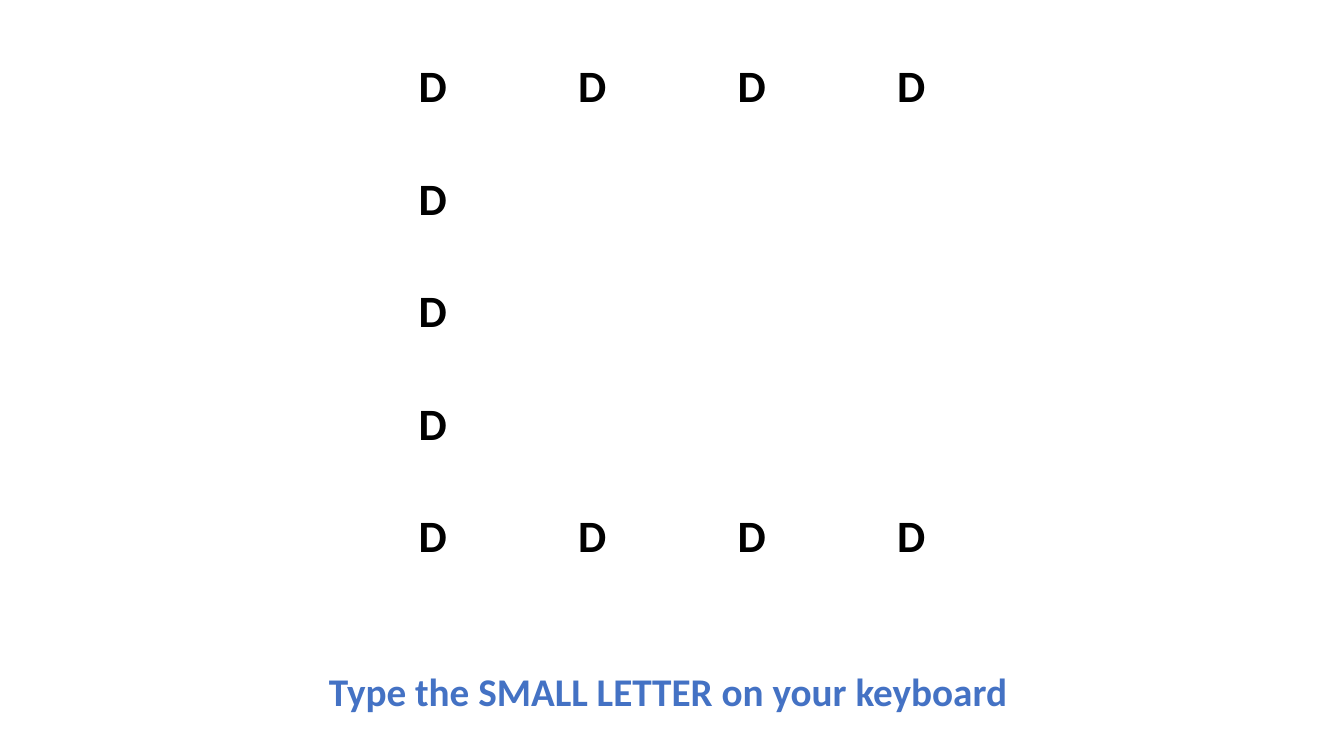
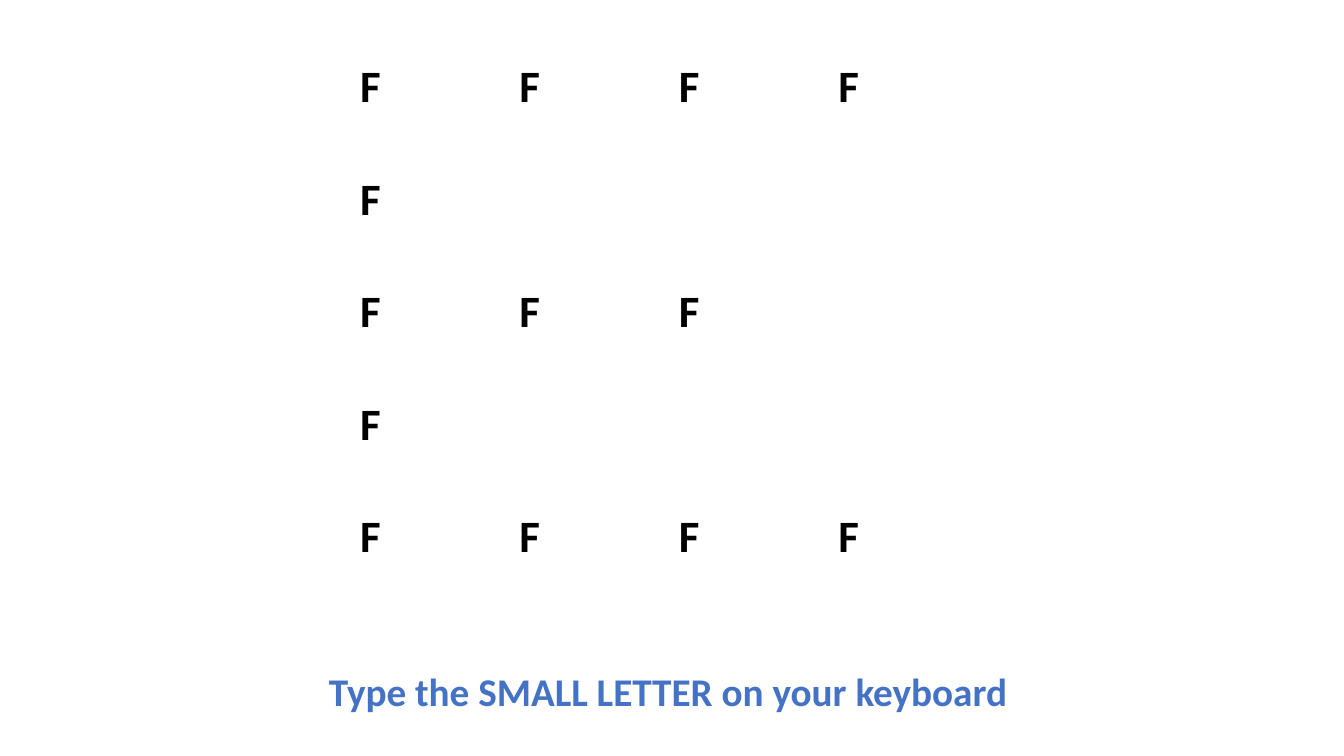
from pptx import Presentation
from pptx.dml.color import RGBColor
from pptx.enum.text import MSO_AUTO_SIZE, PP_ALIGN
from pptx.util import Pt

PIXEL = 9071
BLACK = RGBColor(0x00, 0x00, 0x00)
BLUE = RGBColor(0x44, 0x72, 0xC4)
FONT = "Calibri"
LEFT, CENTER = PP_ALIGN.LEFT, PP_ALIGN.CENTER
GROW = MSO_AUTO_SIZE.SHAPE_TO_FIT_TEXT
BLANK_LAYOUT = 6

LETTER_BOX = (353, 56, 638, 563)
PROMPT_BOX = (319, 662, 707, 57)
PROMPT = "Type the SMALL LETTER on your keyboard"
COLUMN_COUNT = 4
CELL_INSET = 7

LETTER_SLIDES = [
    ("D", (4, 1, 1, 1, 4), CENTER),
    ("F", (4, 1, 3, 1, 4), LEFT),
]


def scaled(box):
    """Turn a box in pixels into EMU."""
    return [length * PIXEL for length in box]


def write(frame, text, size, color, align=LEFT, spacing=None):
    """Write one bold paragraph into a text frame."""
    para = frame.paragraphs[0]
    para.alignment = align
    if spacing:
        para.line_spacing = spacing
    span = para.add_run()
    span.text = text
    span.font.name = FONT
    span.font.size = Pt(size)
    span.font.bold = True
    span.font.color.rgb = color


def add_letters(page, box, letter, row_lengths, align):
    """Draw a large letter shape by filling the start of each table row."""
    left, top, width, height = scaled(box)
    row_count = len(row_lengths)
    table = page.shapes.add_table(
        row_count, COLUMN_COUNT, left, top, width, height).table
    table.first_row = False
    table.horz_banding = False
    for column in table.columns:
        column.width = width // COLUMN_COUNT
    for row, filled in zip(table.rows, row_lengths):
        row.height = height // row_count
        for index, cell in enumerate(row.cells):
            cell.fill.background()
            cell.margin_left = cell.margin_right = CELL_INSET * PIXEL
            cell.margin_top = cell.margin_bottom = 0
            if index < filled:
                write(cell.text_frame, letter, 32, BLACK, align, spacing=1.07)


def add_prompt(page, box):
    """Place the typing instruction."""
    frame = page.shapes.add_textbox(*scaled(box)).text_frame
    frame.word_wrap = False
    frame.auto_size = GROW
    write(frame, PROMPT, 28, BLUE)


def add_letter_slide(deck, letter, row_lengths, align):
    """Add a slide with a letter grid and the instruction below it."""
    page = deck.slides.add_slide(deck.slide_layouts[BLANK_LAYOUT])
    add_letters(page, LETTER_BOX, letter, row_lengths, align)
    add_prompt(page, PROMPT_BOX)


def main():
    """Build and save the deck."""
    deck = Presentation()
    deck.slide_width, deck.slide_height = scaled((1344, 756))
    for letter, row_lengths, align in LETTER_SLIDES:
        add_letter_slide(deck, letter, row_lengths, align)
    deck.save("out.pptx")


main()
